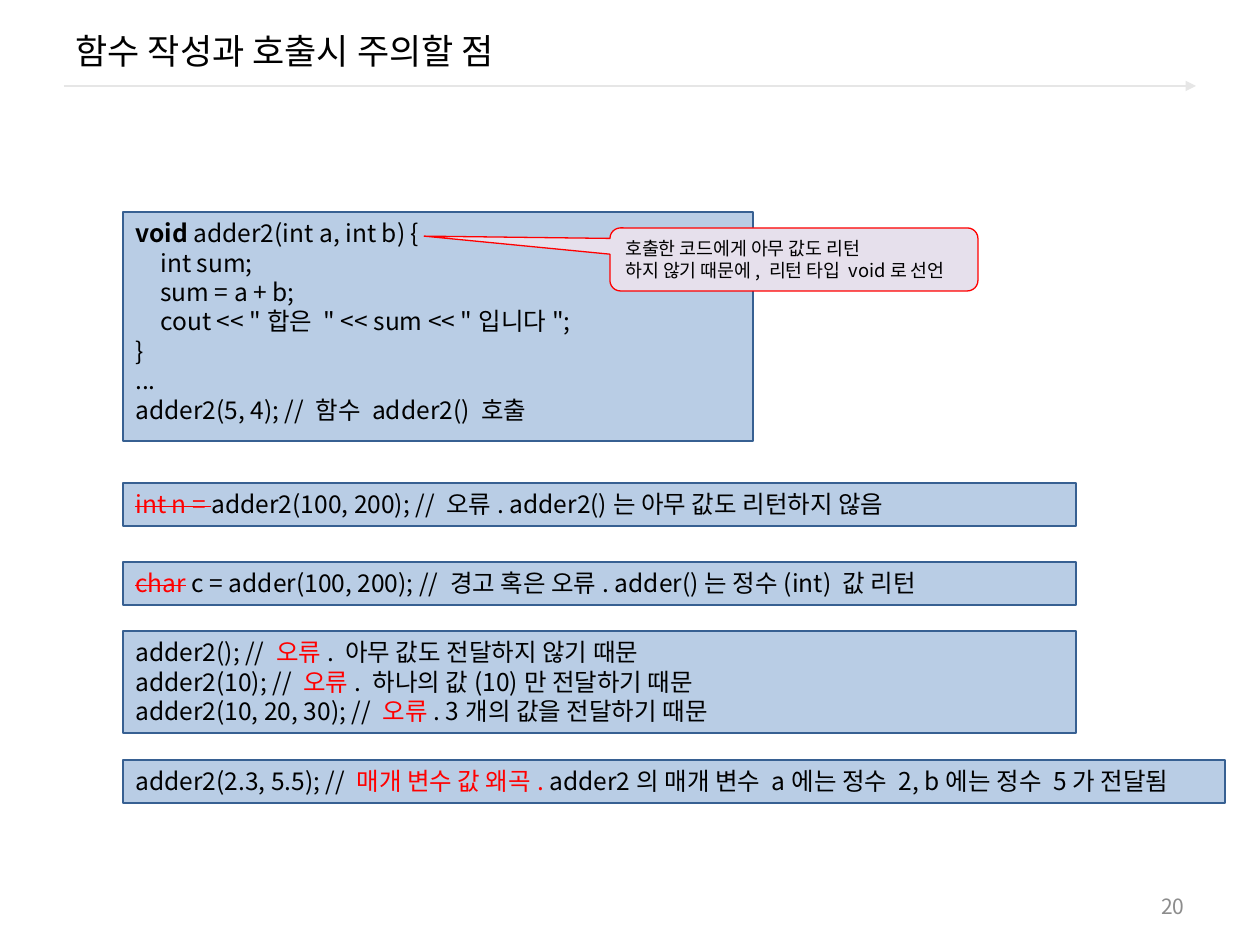
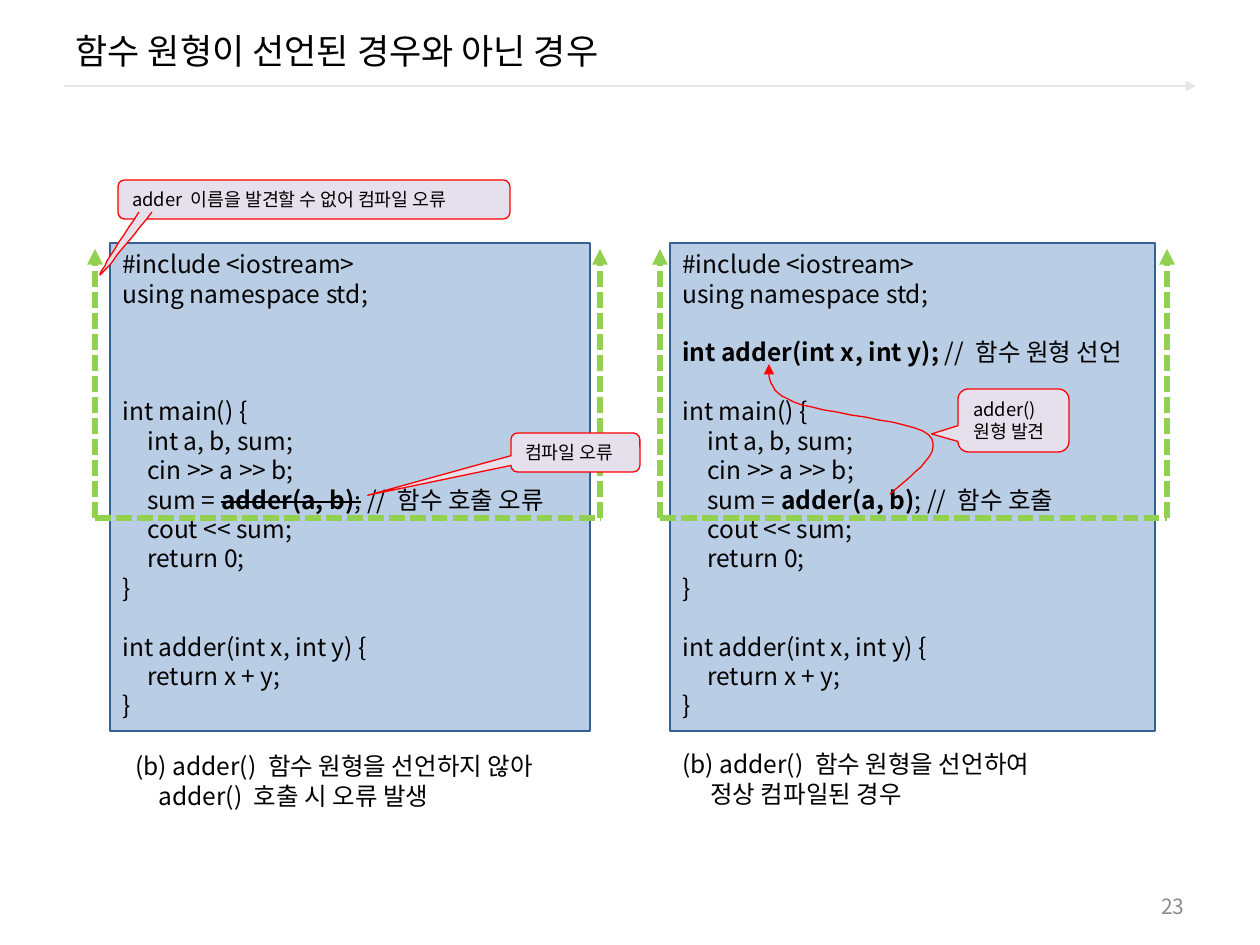
from pptx import Presentation
from pptx.dml.color import RGBColor
from pptx.enum.dml import MSO_LINE
from pptx.enum.shapes import MSO_CONNECTOR, MSO_SHAPE
from pptx.enum.text import MSO_ANCHOR, PP_ALIGN
from pptx.oxml.ns import qn
from pptx.util import Emu, Inches, Pt
from lxml.etree import SubElement

SCALE = 914400 / 126  # EMU in one px
FONT = "Noto Sans CJK KR"
COLORS = {
    "text": "000000", "error": "FF0000", "number": "8C8C8C", "rule": "E6E6E6",
    "code": "B9CDE5", "code_edge": "376092", "note": "E6E0EC", "scope": "92D050",
}
CODE_SIZE, NOTE_SIZE = 14, 10.5
TAB_STOP = 25


def px(length):
    return Emu(round(length * SCALE))


def place(box):
    return [px(length) for length in box]


def color(name):
    return RGBColor.from_string(COLORS[name])


# Text
def style_span(span, size, name="text", style=""):
    font = span.font
    font.name, font.size = FONT, Pt(size)
    font.bold = "bold" in style
    font.color.rgb = color("error" if "red" in style else name)
    props = span._r.get_or_add_rPr()
    SubElement(props, qn("a:ea"), typeface=FONT)
    if "strike" in style:
        props.set("strike", "sngStrike")


def write_lines(frame, lines, size):
    """Each line is a string or a list of strings and (string, style) pairs."""
    frame.word_wrap = True
    for index, line in enumerate(lines):
        para = frame.add_paragraph() if index else frame.paragraphs[0]
        para.alignment = PP_ALIGN.LEFT
        stops = SubElement(para._p.get_or_add_pPr(), qn("a:tabLst"))
        SubElement(stops, qn("a:tab"), pos=str(px(TAB_STOP)), algn="l")
        para.line_spacing = Pt(size * 1.2)
        for part in [line] if isinstance(line, str) else line:
            text, style = (part, "") if isinstance(part, str) else part
            if text:
                span = para.add_run()
                span.text = text
                style_span(span, size, style=style)


# Shapes and lines
def paint(shape, fill, edge):
    shape.shadow.inherit = False
    if fill:
        shape.fill.solid()
        shape.fill.fore_color.rgb = color(fill)
    else:
        shape.fill.background()
    shape.line.color.rgb = color(edge)
    shape.line.width = Pt(0.75)


def add_arrowhead(shape):
    SubElement(shape.line._get_or_add_ln(), qn("a:tailEnd"), type="triangle")


def add_line(page, start, end, name, width, dashed=False, arrow=False):
    line = page.shapes.add_connector(MSO_CONNECTOR.STRAIGHT, *place(start + end))
    line.line.color.rgb = color(name)
    line.line.width = Pt(width)
    if dashed:
        line.line.dash_style = MSO_LINE.SQUARE_DOT
    if arrow:
        add_arrowhead(line)
    SubElement(line._element.spPr, qn("a:effectLst"))
    return line


def add_code(page, box, lines):
    shape = page.shapes.add_shape(MSO_SHAPE.RECTANGLE, *place(box))
    paint(shape, "code", "code_edge")
    shape.text_frame.vertical_anchor = MSO_ANCHOR.TOP
    write_lines(shape.text_frame, lines, CODE_SIZE)


def add_note(page, box, pointer, lines):
    shape = page.shapes.add_shape(MSO_SHAPE.ROUNDED_RECTANGULAR_CALLOUT, *place(box))
    shape.adjustments[0], shape.adjustments[1] = pointer
    paint(shape, "note", "error")
    frame = shape.text_frame
    frame.vertical_anchor = MSO_ANCHOR.MIDDLE
    frame.margin_right = 0
    write_lines(frame, lines, NOTE_SIZE)


def add_curve(page, start, bends, fill=None, arrow=False, steps=12):
    """Follow cubic bends, each given as two controls and an end point."""
    points, current = [], start
    for bend in bends:
        knots = (current, *bend)
        for step in range(1, steps + 1):
            t = step / steps
            weights = ((1 - t) ** 3, 3 * t * (1 - t) ** 2, 3 * t * t * (1 - t), t ** 3)
            points.append(tuple(
                sum(weight * knot[axis] for weight, knot in zip(weights, knots))
                for axis in (0, 1)))
        current = bend[-1]
    builder = page.shapes.build_freeform(*start, scale=SCALE)
    builder.add_line_segments(points, close=False)
    shape = builder.convert_to_shape()
    paint(shape, fill, "error")
    if arrow:
        add_arrowhead(shape)


def add_caption(page, box, first, second, indent):
    frame = page.shapes.add_textbox(*place(box)).text_frame
    write_lines(frame, [first, second], CODE_SIZE)
    frame.paragraphs[1]._p.get_or_add_pPr().set("marL", str(px(indent)))


def add_scope(page, panel, left_gap, right_gap):
    """Dashed line under the call, with arrows up both sides of the panel."""
    left, top, width, _ = panel
    x1, x2 = left - left_gap, left + width + right_gap
    floor, tip = top + 275, top + 6
    add_line(page, (x1, floor), (x2, floor), "scope", 3, dashed=True)
    for x in (x1, x2):
        add_line(page, (x, floor), (x, tip), "scope", 3, dashed=True, arrow=True)


# Shared page frame
def add_page(deck, title, number):
    page = deck.slides.add_slide(deck.slide_layouts[5])
    heading = page.shapes.title
    heading.left, heading.top, heading.width, heading.height = place((63, 10, 1134, 81))
    heading.text_frame.text = title
    heading.text_frame.vertical_anchor = MSO_ANCHOR.MIDDLE
    para = heading.text_frame.paragraphs[0]
    para.alignment = PP_ALIGN.LEFT
    style_span(para.runs[0], 20)

    add_line(page, (64, 86), (1196, 86), "rule", 1.5, arrow=True)

    frame = page.shapes.add_textbox(*place((903, 886, 294, 40))).text_frame
    frame.word_wrap = True
    frame.vertical_anchor = MSO_ANCHOR.MIDDLE
    frame.text = str(number)
    frame.paragraphs[0].alignment = PP_ALIGN.RIGHT
    style_span(frame.paragraphs[0].runs[0], 12, "number")
    return page


# Page: calling mistakes
def build_mistakes(deck):
    page = add_page(deck, "함수 작성과 호출시 주의할 점", 20)
    error = ("오류", "red")
    left, wide = 123, 953
    add_code(page, (left, 212, 630, 229), [
        [("void ", "bold"), "adder2(int a, int b) {"],
        "\tint sum;",
        "\tsum = a + b;",
        '\tcout << "합은 " << sum << "입니다";',
        "}",
        "...",
        "adder2(5, 4); // 함수 adder2() 호출",
    ])
    add_note(page, (610, 228, 368, 63), (-1.005, -0.37), [
        "호출한 코드에게 아무 값도 리턴",
        "하지 않기 때문에, 리턴 타입 void로 선언",
    ])
    samples = [
        (483, wide, 43, [[("int n = ", "red strike"),
                          "adder2(100, 200); // 오류. adder2()는 아무 값도 리턴하지 않음"]]),
        (562, wide, 43, [[("char", "red strike"),
                          " c = adder(100, 200); // 경고 혹은 오류. adder()는 정수(int) 값 리턴"]]),
        (631, wide, 102, [
            ["adder2(); // ", error, ". 아무 값도 전달하지 않기 때문"],
            ["adder2(10); // ", error, ". 하나의 값(10)만 전달하기 때문"],
            ["adder2(10, 20, 30); // ", error, ". 3개의 값을 전달하기 때문"],
        ]),
        (760, 1102, 43, [["adder2(2.3, 5.5); // ", ("매개 변수 값 왜곡. ", "red"),
                          "adder2의 매개 변수 a에는 정수 2, b에는 정수 5가 전달됨"]]),
    ]
    for top, width, height, lines in samples:
        add_code(page, (left, top, width, height), lines)


# Page: without and with a prototype
def program(prototype, call):
    return [
        "#include <iostream>", "using namespace std;", "", prototype, "",
        "int main() {", "\tint a, b, sum;", "\tcin >> a >> b;", call,
        "\tcout << sum;", "\treturn 0;", "}", "",
        "int adder(int x, int y) {", "\treturn x + y;", "}",
    ]


def build_prototypes(deck):
    page = add_page(deck, "함수 원형이 선언된 경우와 아닌 경우", 23)
    missing, declared = (110, 243, 480, 488), (670, 243, 485, 488)
    add_code(page, missing, program("", [
        "\tsum = ", ("adder(a, b)", "bold strike"), (";", "strike"), " // 함수 호출 오류"]))
    add_code(page, declared, program(
        [("int adder(int x, int y); ", "bold"), "// 함수 원형 선언"],
        ["\tsum = ", ("adder(a, b)", "bold"), "; // 함수 호출"]))
    add_caption(page, (670, 743, 476, 72),
                "(b) adder() 함수 원형을 선언하여", "정상 컴파일된 경우", 28)
    add_caption(page, (123, 745, 451, 72),
                "(b) adder() 함수 원형을 선언하지 않아", "adder() 호출 시 오류 발생", 23)

    # Failed search
    add_scope(page, missing, 15, 10)
    add_note(page, (118, 180, 392, 39), (-0.5, 0.303),
             ["adder 이름을 발견할 수 없어 컴파일 오류"])
    add_curve(page, (139, 212), [
        ((118, 243), (98, 275), (100, 275)),
        ((102, 275), (127, 243), (152, 212)),
    ], fill="note")
    add_note(page, (511, 433, 129, 39), (-1.611, 1.098), ["컴파일 오류"])

    # Successful search
    add_scope(page, declared, 10, 12)
    add_curve(page, (890, 494), [
        ((917, 471), (944, 450), (929, 435)),
        ((912, 420), (820, 413), (794, 402)),
        ((766, 391), (769, 375), (769, 364)),
    ], arrow=True)
    add_note(page, (958, 389, 111, 63), (-0.738, 0.214), ["adder()", "원형 발견"])


def main():
    deck = Presentation()
    deck.slide_width, deck.slide_height = Inches(10), Inches(7.5)
    build_mistakes(deck)
    build_prototypes(deck)
    deck.save("out.pptx")


if __name__ == "__main__":
    main()
